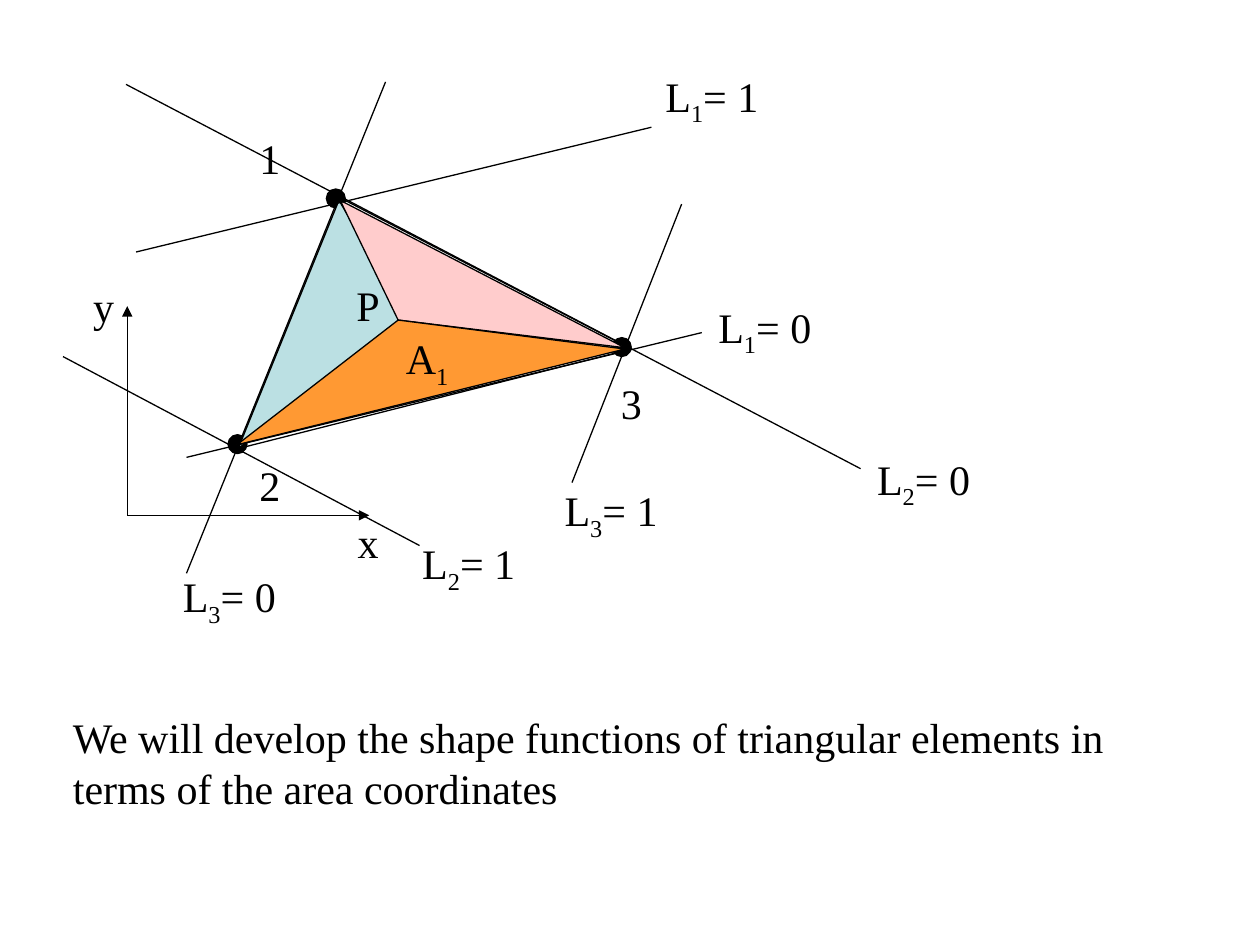
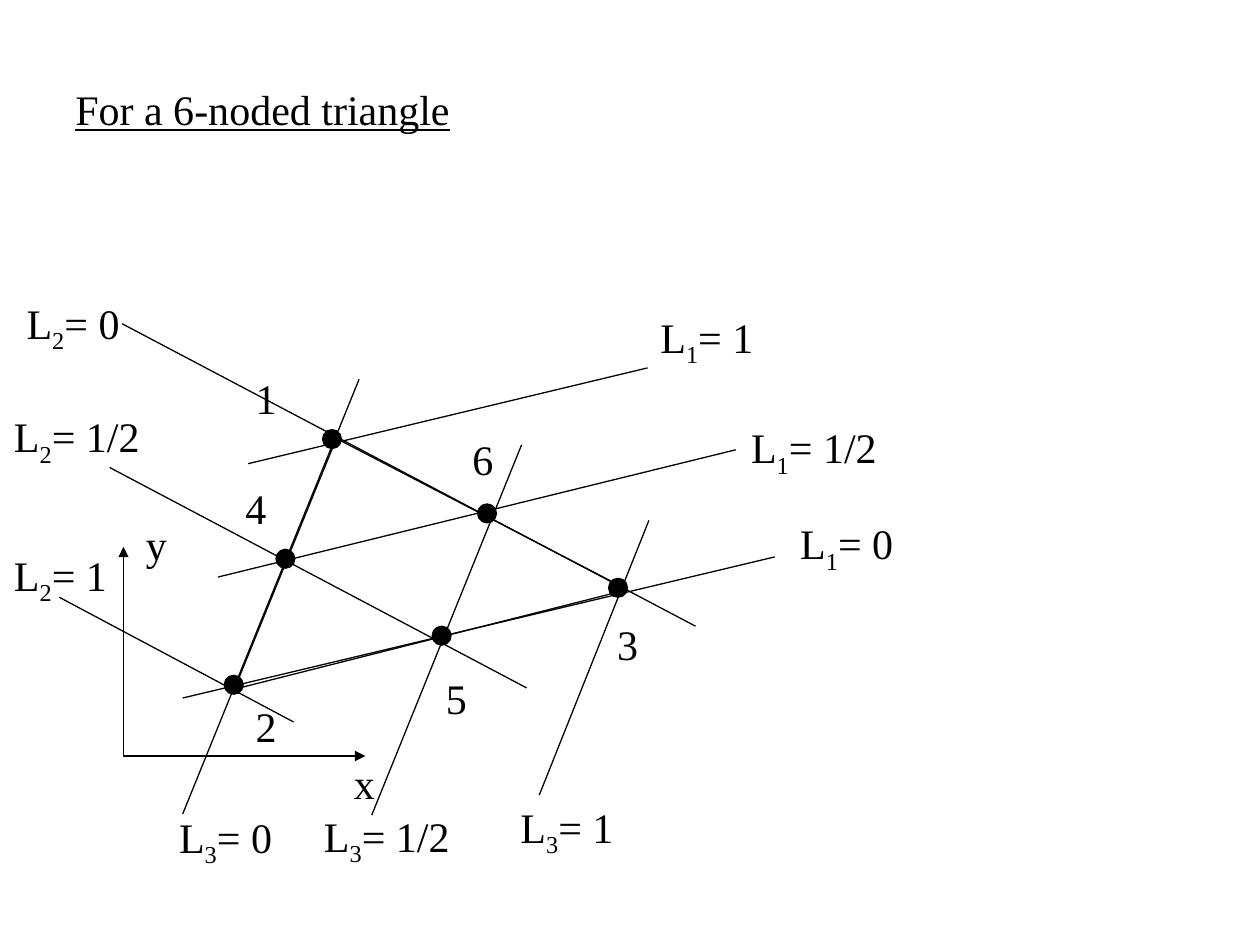
from lxml.etree import SubElement
from pptx import Presentation
from pptx.dml.color import RGBColor
from pptx.enum.shapes import MSO_CONNECTOR, MSO_SHAPE
from pptx.enum.text import PP_ALIGN
from pptx.oxml.ns import qn
from pptx.util import Pt

EMU_PER_PX = 9144
FONT = "Times New Roman"
TEXT_SIZE = 24
LINE_WIDTH = 0.75
NODE_SIZE = 15
COLORS = {
    "ink": "000000",
    "area_3": "BBE0E3",
    "area_2": "FFCCCC",
    "area_1": "FF9933",
}


def px(value):
    return value * EMU_PER_PX


def rgb(name):
    return RGBColor.from_string(COLORS[name])


def style_outline(item):
    item.line.color.rgb = rgb("ink")
    item.line.width = Pt(LINE_WIDTH)


def style_run(run, underline=False):
    run.font.name = FONT
    run.font.size = Pt(TEXT_SIZE)
    run.font.color.rgb = rgb("ink")
    run.font.underline = underline


def text_frame_at(slide, left, top, width, height, wrap=False):
    frame = slide.shapes.add_textbox(px(left), px(top), px(width), px(height)).text_frame
    frame.word_wrap = wrap
    return frame


def add_statement(slide, left, top, width, height, text, wrap=False, underline=False):
    frame = text_frame_at(slide, left, top, width, height, wrap)
    frame.text = text
    style_run(frame.paragraphs[0].runs[0], underline)


def add_label(slide, left, top, width, symbol, subscript="", value=""):
    height = 56 if subscript else 50
    paragraph = text_frame_at(slide, left, top, width, height).paragraphs[0]
    paragraph.alignment = PP_ALIGN.CENTER
    for part in filter(None, (symbol, subscript, value)):
        run = paragraph.add_run()
        run.text = part
        style_run(run)
        if part == subscript:
            run.font._element.set("baseline", "-25000")


def add_coordinate_label(slide, left, top, index, value):
    width = 120 if "/" in value else 94
    add_label(slide, left, top, width, "L", index, f"= {value}")


def add_line(slide, x1, y1, x2, y2, arrow=False):
    line = slide.shapes.add_connector(
        MSO_CONNECTOR.STRAIGHT, px(x1), px(y1), px(x2), px(y2))
    style_outline(line)
    properties = line._element.spPr
    if arrow:
        SubElement(properties.find(qn("a:ln")), qn("a:tailEnd"), type="triangle")
    SubElement(properties, qn("a:effectLst"))


def add_triangle(slide, corners, fill=None):
    builder = slide.shapes.build_freeform(*corners[0], scale=EMU_PER_PX)
    builder.add_line_segments(corners[1:], close=True)
    triangle = builder.convert_to_shape()
    triangle.shadow.inherit = False
    style_outline(triangle)
    if fill:
        triangle.fill.solid()
        triangle.fill.fore_color.rgb = rgb(fill)
    else:
        triangle.fill.background()


def add_node(slide, left, top):
    node = slide.shapes.add_shape(
        MSO_SHAPE.OVAL, px(left), px(top), px(NODE_SIZE), px(NODE_SIZE))
    node.shadow.inherit = False
    node.fill.solid()
    node.fill.fore_color.rgb = rgb("ink")
    style_outline(node)


def add_element(slide, x, y):
    add_line(slide, x, y, x, y - 166, arrow=True)
    add_line(slide, x, y, x + 192, y, arrow=True)
    add_label(slide, x + 173, y - 4, 36, "x")
    add_triangle(slide, [(x + 88, y - 53), (x + 400, y - 132), (x + 169, y - 252)])
    corner_nodes = [
        ("1", (158, -259), (95, -309)),
        ("2", (80, -64), (95, -49)),
        ("3", (385, -141), (382, -114)),
    ]
    for number, (node_x, node_y), (label_x, label_y) in corner_nodes:
        add_node(slide, x + node_x, y + node_y)
        add_label(slide, x + label_x, y + label_y, 36, number)


def add_isolines(slide, isolines):
    for index, value, ends, (left, top) in isolines:
        add_line(slide, *ends)
        add_coordinate_label(slide, left, top, index, value)


def build_area_slide(slide):
    add_statement(
        slide, 48, 560, 905, 90,
        "We will develop the shape functions of triangular elements "
        "in terms of the area coordinates", wrap=True)
    add_element(slide, 101, 409)
    add_label(slide, 64, 218, 36, "y")
    add_triangle(slide, [(189, 356), (324, 253), (269, 159)], "area_3")
    add_triangle(slide, [(316, 254), (496, 276), (270, 159)], "area_2")
    add_triangle(slide, [(188, 353), (496, 277), (316, 254)], "area_1")
    add_label(slide, 273, 217, 38, "P")
    add_label(slide, 312, 259, 54, "A", "1")
    add_isolines(slide, [
        ("1", "0", (148, 363, 557, 264), (560, 234)),
        ("1", "1", (108, 200, 517, 101), (518, 51)),
        ("2", "0", (100, 67, 683, 372), (686, 355)),
        ("2", "1", (50, 283, 333, 433), (325, 422)),
        ("3", "0", (306, 65, 148, 455), (135, 448)),
        ("3", "1", (541, 162, 454, 383), (438, 380)),
    ])


def build_six_node_slide(slide):
    add_statement(slide, 50, 61, 317, 50, "For a 6-noded triangle", underline=True)
    add_element(slide, 98, 600)
    add_label(slide, 106, 407, 36, "y")
    add_isolines(slide, [
        ("1", "0", (145, 554, 615, 442), (625, 406)),
        ("1", "1/2", (173, 458, 584, 357), (586, 330)),
        ("1", "1", (197, 368, 514, 292), (514, 242)),
        ("2", "0", (97, 257, 552, 497), (11, 231)),
        ("2", "1/2", (87, 371, 418, 546), (1, 321)),
        ("2", "1", (47, 474, 233, 573), (1, 431)),
        ("3", "0", (285, 301, 145, 646), (132, 639)),
        ("3", "1/2", (414, 353, 295, 647), (247, 638)),
        ("3", "1", (515, 413, 428, 631), (403, 631)),
    ])
    midside_nodes = [
        ("4", (219, 436), (185, 378)),
        ("5", (343, 497), (344, 529)),
        ("6", (379, 400), (365, 339)),
    ]
    for number, node_corner, (left, top) in midside_nodes:
        add_node(slide, *node_corner)
        add_label(slide, left, top, 36, number)


def main():
    presentation = Presentation()
    presentation.slide_width = px(1000)
    presentation.slide_height = px(750)
    blank = presentation.slide_layouts[6]
    for build in (build_area_slide, build_six_node_slide):
        build(presentation.slides.add_slide(blank))
    presentation.save("out.pptx")


if __name__ == "__main__":
    main()
